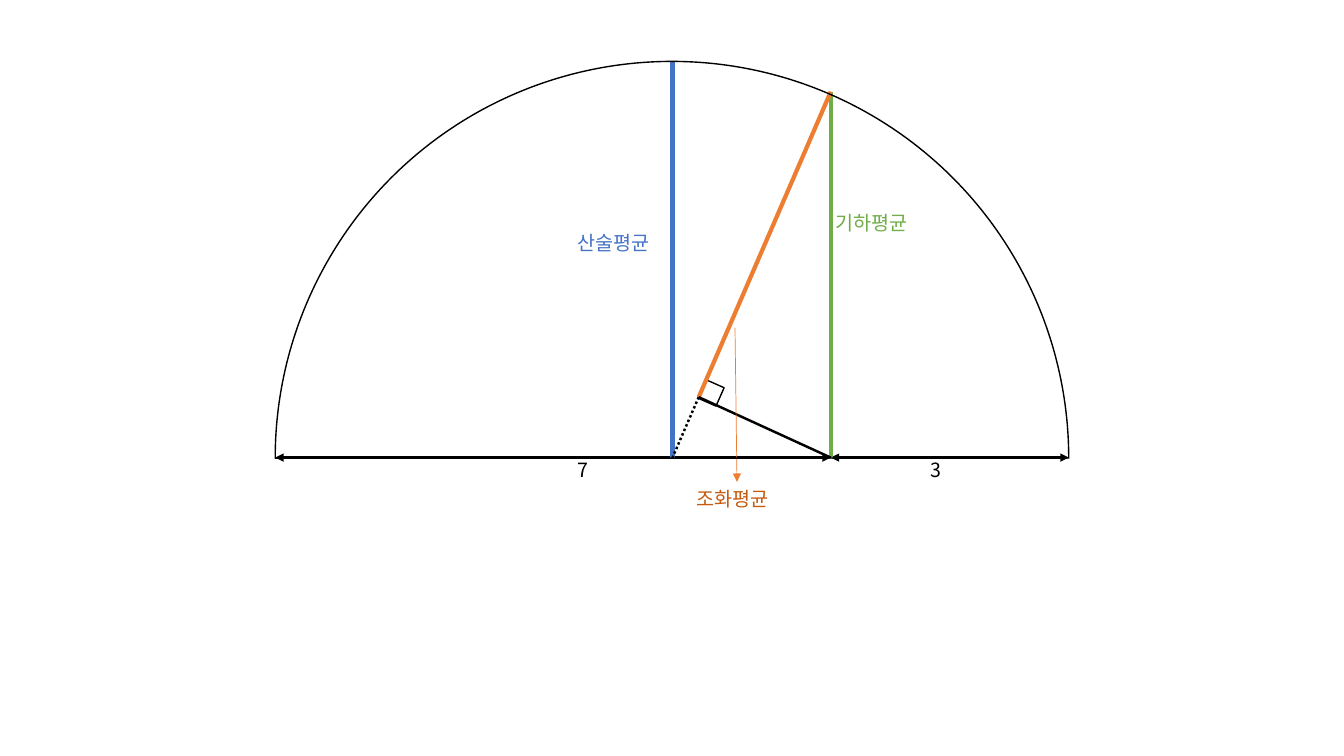
import pptx
import pptx.dml.color
import pptx.enum.dml
import pptx.enum.shapes
import pptx.enum.text
import pptx.oxml.ns
import pptx.util
from lxml import etree

Inches = pptx.util.Inches
RGBColor = pptx.dml.color.RGBColor
Shape = pptx.enum.shapes.MSO_SHAPE

BLACK = RGBColor(0x00, 0x00, 0x00)
BLUE = RGBColor(0x44, 0x72, 0xC4)
GREEN = RGBColor(0x70, 0xAD, 0x47)
ORANGE = RGBColor(0xED, 0x7D, 0x31)
DARK_ORANGE = RGBColor(0xC5, 0x5A, 0x11)

# Points of the construction, in inches
BASE = 4.54
LEFT_END = (2.73, BASE)
RIGHT_END = (10.6, BASE)
CENTER = (6.67, BASE)
TOP = (6.67, 0.61)
SPLIT = (8.24, BASE)
ON_ARC = (8.24, 0.91)
FOOT = (6.93, 3.94)
DIAMETER = RIGHT_END[0] - LEFT_END[0]


def add_child(parent, tag, **attributes):
    return etree.SubElement(parent, pptx.oxml.ns.qn(tag), **attributes)


class Diagram:
    font_name = "Noto Sans CJK KR"
    font_size = pptx.util.Pt(14)
    label_height = 0.34

    def __init__(self, page):
        self.page = page

    def line(self, start, end, color, width, dash=None, head=False, tail=False):
        points = [Inches(value) for value in (*start, *end)]
        connector = self.page.shapes.add_connector(
            pptx.enum.shapes.MSO_CONNECTOR.STRAIGHT, *points)
        connector.line.color.rgb = color
        connector.line.width = pptx.util.Pt(width)
        if dash is not None:
            connector.line.dash_style = dash
        outline = connector.line._get_or_add_ln()
        if head:
            add_child(outline, "a:headEnd", type="triangle")
        if tail:
            add_child(outline, "a:tailEnd", type="triangle")
        add_child(connector._element.spPr, "a:effectLst")

    def outline(self, kind, left, top, width, height, rotation=0, adjustments=()):
        shape = self.page.shapes.add_shape(
            kind, Inches(left), Inches(top), Inches(width), Inches(height))
        shape.rotation = rotation
        for index, value in enumerate(adjustments):
            shape.adjustments[index] = value
        shape.shadow.inherit = False
        shape.fill.background()
        shape.line.color.rgb = BLACK
        shape.line.width = pptx.util.Pt(1)

    def label(self, text, left, top, width, color):
        box = self.page.shapes.add_textbox(
            Inches(left), Inches(top), Inches(width), Inches(self.label_height))
        frame = box.text_frame
        frame.word_wrap = False
        frame.auto_size = pptx.enum.text.MSO_AUTO_SIZE.SHAPE_TO_FIT_TEXT
        span = frame.paragraphs[0].add_run()
        span.text = text
        span.font.size = self.font_size
        span.font.color.rgb = color
        span.font.name = self.font_name
        add_child(span.font._element, "a:ea", typeface=self.font_name)


def main():
    deck = pptx.Presentation()
    deck.slide_width = Inches(13.33)
    deck.slide_height = Inches(7.5)
    diagram = Diagram(deck.slides.add_slide(deck.slide_layouts[6]))

    # Right-angle mark
    diagram.outline(Shape.RECTANGLE, 6.96, 3.8, 0.19, 0.2, rotation=23.8)

    # Diameter in two parts
    for start, end in ((LEFT_END, SPLIT), (SPLIT, RIGHT_END)):
        diagram.line(start, end, BLACK, 1.75, head=True, tail=True)

    # The three means and the helper lines
    diagram.line(CENTER, TOP, BLUE, 3)
    diagram.line(SPLIT, ON_ARC, GREEN, 3)
    diagram.line(ON_ARC, FOOT, ORANGE, 3)
    diagram.line(SPLIT, FOOT, BLACK, 1.75)
    diagram.line(FOOT, CENTER, BLACK, 1.75,
                 dash=pptx.enum.dml.MSO_LINE.ROUND_DOT)

    # Labels
    for text, left, top, width, color in (
        ("7", 5.63, 4.49, 0.31, BLACK),
        ("3", 9.13, 4.49, 0.31, BLACK),
        ("산술평균", 5.63, 2.24, 0.99, BLUE),
        ("조화평균", 6.81, 4.78, 0.99, DARK_ORANGE),
        ("기하평균", 8.19, 2.04, 0.99, GREEN),
    ):
        diagram.label(text, left, top, width, color)
    diagram.line((7.29, 3.25), (7.31, 4.78), ORANGE, 0.5, tail=True)

    # Semicircle
    diagram.outline(Shape.PIE, LEFT_END[0], TOP[1], DIAMETER, DIAMETER,
                    adjustments=(107.99, 215.99))

    deck.save("out.pptx")


if __name__ == "__main__":
    main()
